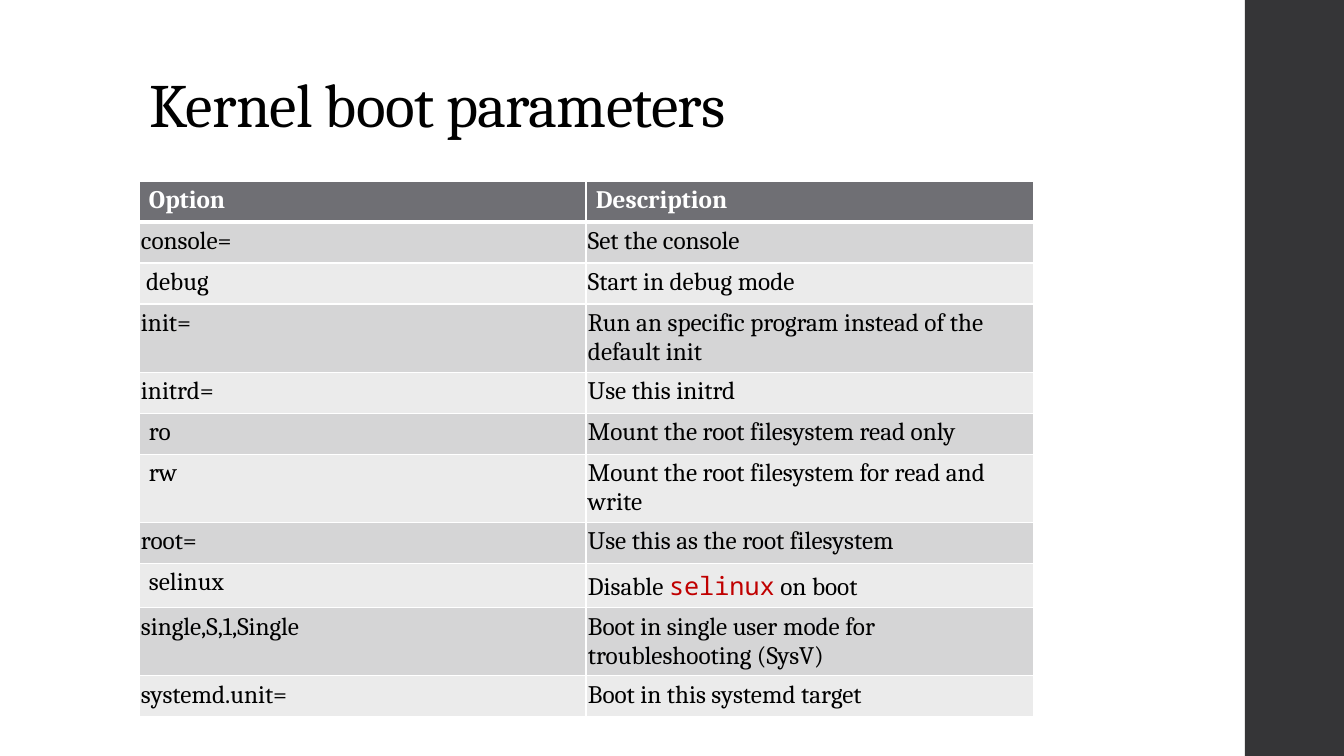
from lxml.etree import SubElement
from pptx import Presentation
from pptx.dml.color import RGBColor
from pptx.enum.shapes import MSO_SHAPE
from pptx.enum.text import MSO_ANCHOR, PP_ALIGN
from pptx.oxml.ns import qn
from pptx.util import Emu, Pt

COLORS = {
    "side bar": "353537", "header": "6F6F74", "odd row": "D5D5D6",
    "even row": "EBEBEB", "text": "000000", "white": "FFFFFF", "code": "C00000",
}
ROW_HEIGHT = 41
NARROW, INDENTED, WIDE = 2, 7, 10  # left cell margins in px

# option, its left margin, description runs
PARAMETERS = [
    ("console=", NARROW, ["Set the console"]),
    ("debug", INDENTED, ["Start in debug mode"]),
    ("init=", NARROW, ["Run an specific program instead of the default init"]),
    ("initrd=", NARROW, ["Use this initrd"]),
    ("ro", WIDE, ["Mount the root filesystem read only"]),
    ("rw", WIDE, ["Mount the root filesystem for read and write"]),
    ("root=", NARROW, ["Use this as the root filesystem"]),
    ("selinux", WIDE, ["Disable ", "selinux", " on boot"]),
    ("single,S,1,Single", NARROW, ["Boot in single user mode for troubleshooting (SysV)"]),
    ("systemd.unit=", NARROW, ["Boot in this systemd target"]),
]


def px(length):
    return Emu(round(length * 914400 / 100.8))


def add_borders(cell, top, bottom):
    """Draw white borders, with the top and bottom widths in points."""
    properties = cell._tc.get_or_add_tcPr()
    widths = {"a:lnL": 1, "a:lnR": 1, "a:lnT": top, "a:lnB": bottom}
    for position, (tag, width) in enumerate(widths.items()):
        line = SubElement(properties, qn(tag), w=str(Pt(width)))
        fill = SubElement(line, qn("a:solidFill"))
        SubElement(fill, qn("a:srgbClr"), val=COLORS["white"])
        properties.insert(position, line)


presentation = Presentation()
presentation.slide_width, presentation.slide_height = px(1344), px(756)
slide = presentation.slides.add_slide(presentation.slide_layouts[5])

side_bar = slide.shapes.add_shape(MSO_SHAPE.RECTANGLE, px(1245), 0, px(99), px(756))
side_bar.shadow.inherit = False
side_bar.fill.solid()
side_bar.fill.fore_color.rgb = RGBColor.from_string(COLORS["side bar"])
side_bar.line.fill.background()

title = slide.shapes.title
title.left, title.top, title.width, title.height = px(139), px(0), px(1068), px(146)
title.text_frame.text = "Kernel boot parameters"
title.text_frame.word_wrap = True
title.text_frame.vertical_anchor = MSO_ANCHOR.BOTTOM
paragraph = title.text_frame.paragraphs[0]
paragraph.alignment = PP_ALIGN.LEFT
paragraph.line_spacing = 0.9
font = paragraph.runs[0].font
font.name, font.size = "Cambria", Pt(44)
font.color.rgb = RGBColor.from_string(COLORS["text"])
paragraph.runs[0]._r.get_or_add_rPr().set("spc", "-50")

rows = [(("Option", WIDE), (["Description"], WIDE))]
rows += [((option, margin), (runs, NARROW)) for option, margin, runs in PARAMETERS]
table = slide.shapes.add_table(
    len(rows), 2, px(139), px(181), px(895), px(ROW_HEIGHT * len(rows))
).table
table.columns[0].width, table.columns[1].width = px(447), px(448)

for row_index, ((option, option_margin), (runs, runs_margin)) in enumerate(rows):
    is_header = row_index == 0
    fill_name = "header" if is_header else "odd row" if row_index % 2 else "even row"
    table.rows[row_index].height = px(ROW_HEIGHT)
    cell_contents = [([option], option_margin), (runs, runs_margin)]
    for column_index, (texts, margin) in enumerate(cell_contents):
        cell = table.cell(row_index, column_index)
        cell.margin_left = px(margin)
        cell.margin_right = px(WIDE if margin == WIDE else NARROW)
        cell.margin_top = cell.margin_bottom = px(5)
        cell.fill.solid()
        cell.fill.fore_color.rgb = RGBColor.from_string(COLORS[fill_name])
        add_borders(cell, top=3 if row_index == 1 else 1, bottom=3 if is_header else 1)
        paragraph = cell.text_frame.paragraphs[0]
        for run_index, text in enumerate(texts):
            is_code = run_index == 1
            run = paragraph.add_run()
            run.text = text
            run.font.name = "Noto Sans Mono" if is_code else "Cambria"
            run.font.size = Pt(18)
            run.font.bold = is_header
            color_name = "white" if is_header else "code" if is_code else "text"
            run.font.color.rgb = RGBColor.from_string(COLORS[color_name])

presentation.save("out.pptx")
